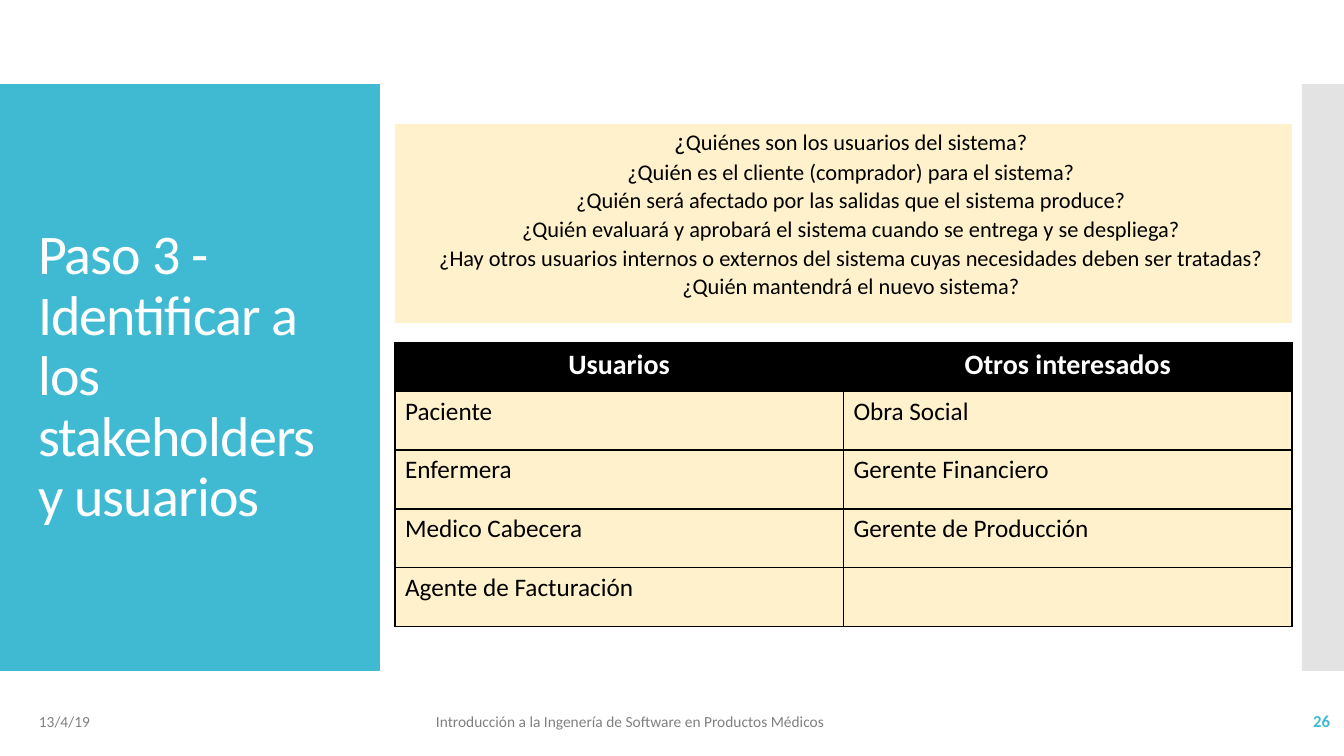
from lxml import etree
from pptx import Presentation
from pptx.dml.color import RGBColor
from pptx.enum.shapes import MSO_SHAPE
from pptx.enum.text import MSO_ANCHOR, MSO_AUTO_SIZE, PP_ALIGN
from pptx.oxml import parse_xml
from pptx.oxml.ns import qn
from pptx.util import Pt

RECT = MSO_SHAPE.RECTANGLE
TOP, MIDDLE = MSO_ANCHOR.TOP, MSO_ANCHOR.MIDDLE
LEFT, CENTER, RIGHT = PP_ALIGN.LEFT, PP_ALIGN.CENTER, PP_ALIGN.RIGHT
NO_FIT = MSO_AUTO_SIZE.NONE
NS = "http://schemas.openxmlformats.org/drawingml/2006/main"
PX = 914400 / 100.8
THEME = {
    "font": "Calibri",
    "accent": RGBColor.from_string("40BAD2"),
    "side": RGBColor.from_string("C8C8C8"),
    "cream": RGBColor.from_string("FFF1CB"),
    "muted": RGBColor.from_string("808080"),
    "black": RGBColor.from_string("000000"),
    "white": RGBColor.from_string("FFFFFF"),
    "title": 40, "header": 20, "cell": 18, "mark": 18,
    "question": 16, "number": 12, "footer": 11,
}


def px(*lengths):
    return [round(n * PX) for n in lengths]


def add_run(p, text, size, color, bold=False):
    r = p.add_run()
    r.text = text
    r.font.name = THEME["font"]
    r.font.size = Pt(THEME[size])
    r.font.color.rgb = THEME[color]
    r.font.bold = bold
    return r


prs = Presentation()
prs.slide_width, prs.slide_height = px(1344, 756)
s = prs.slides.add_slide(prs.slide_layouts[1])

for i, (left, width, color) in enumerate([(0, 380, "accent"), (1302, 42, "side")]):
    sp = s.shapes.add_shape(RECT, *px(left, 84, width, 587))
    sp.shadow.inherit = False
    sp.fill.solid()
    sp.fill.fore_color.rgb = THEME[color]
    sp.line.fill.background()
    if color == "side":
        clr = sp.fill._xPr.find(".//" + qn("a:srgbClr"))
        etree.SubElement(clr, qn("a:alpha"), val="50000")
    s.shapes.element.insert(2 + i, sp.element)

title = s.shapes.title
title.left, title.top, title.width, title.height = px(28, 124, 325, 507)
tf = title.text_frame
tf.word_wrap = True
tf.auto_size = NO_FIT
tf.vertical_anchor = MIDDLE
p = tf.paragraphs[0]
p.alignment = LEFT
p.line_spacing = 0.9
r = add_run(p, "Paso 3 - Identificar a los stakeholders y usuarios", "title", "white")
r.font._element.set("spc", "-60")

questions = [
    "Quiénes son los usuarios del sistema?",
    "Quién es el cliente (comprador) para el sistema?",
    "Quién será afectado por las salidas que el sistema produce?",
    "Quién evaluará y aprobará el sistema cuando se entrega y se despliega?",
    "Hay otros usuarios internos o externos del sistema cuyas necesidades deben ser tratadas?",
    "Quién mantendrá el nuevo sistema?",
]
body = s.placeholders[1]
body.left, body.top, body.width, body.height = px(395, 124, 897, 199)
body.fill.solid()
body.fill.fore_color.rgb = THEME["cream"]
tf = body.text_frame
tf.word_wrap = True
tf.auto_size = NO_FIT
tf.vertical_anchor = TOP
for i, question in enumerate(questions):
    p = tf.add_paragraph() if i else tf.paragraphs[0]
    p.alignment = CENTER
    p.line_spacing = 0.9
    p.space_before = Pt(3.2)
    pPr = p._p.get_or_add_pPr()
    pPr.set("marL", str(px(15)[0]))
    pPr.set("indent", "0")
    etree.SubElement(pPr, qn("a:buNone"))
    add_run(p, "¿", "question" if i else "mark", "black")
    add_run(p, question, "question", "black")

rows = [
    ("Usuarios", "Otros interesados"),
    ("Paciente", "Obra Social"),
    ("Enfermera", "Gerente Financiero"),
    ("Medico Cabecera", "Gerente de Producción"),
    ("Agente de Facturación", ""),
]
table = s.shapes.add_table(len(rows), 2, *px(395, 343, 897, 284)).table
for col in table.columns:
    col.width = px(448.5)[0]
for i, texts in enumerate(rows):
    header = i == 0
    table.rows[i].height = px(48 if header else 59)[0]
    for j, text in enumerate(texts):
        cell = table.cell(i, j)
        p = cell.text_frame.paragraphs[0]
        p.alignment = CENTER if header else LEFT
        p.space_before = Pt(1)
        if text:
            add_run(p, text, "header" if header else "cell",
                    "white" if header else "black", header)
        tcPr = cell._tc.get_or_add_tcPr()
        for side in ("lnL", "lnR", "lnT", "lnB"):
            tcPr.append(parse_xml(
                f'<a:{side} xmlns:a="{NS}" w="12700"><a:solidFill>'
                f'<a:srgbClr val="{THEME["black"]}"/></a:solidFill></a:{side}>'))
        cell.fill.solid()
        cell.fill.fore_color.rgb = THEME["black" if header else "cream"]

footers = [
    (29, 302, "13/4/19", LEFT, "footer", "muted", False),
    (426, 651, "Introducción a la Ingenería de Software en Productos Médicos",
     LEFT, "footer", "muted", False),
    (1172, 168, "26", RIGHT, "number", "accent", True),
]
for left, width, text, align, size, color, bold in footers:
    tf = s.shapes.add_textbox(*px(left, 701, width, 40)).text_frame
    tf.word_wrap = True
    tf.vertical_anchor = MIDDLE
    p = tf.paragraphs[0]
    p.alignment = align
    add_run(p, text, size, color, bold)

prs.save("out.pptx")
